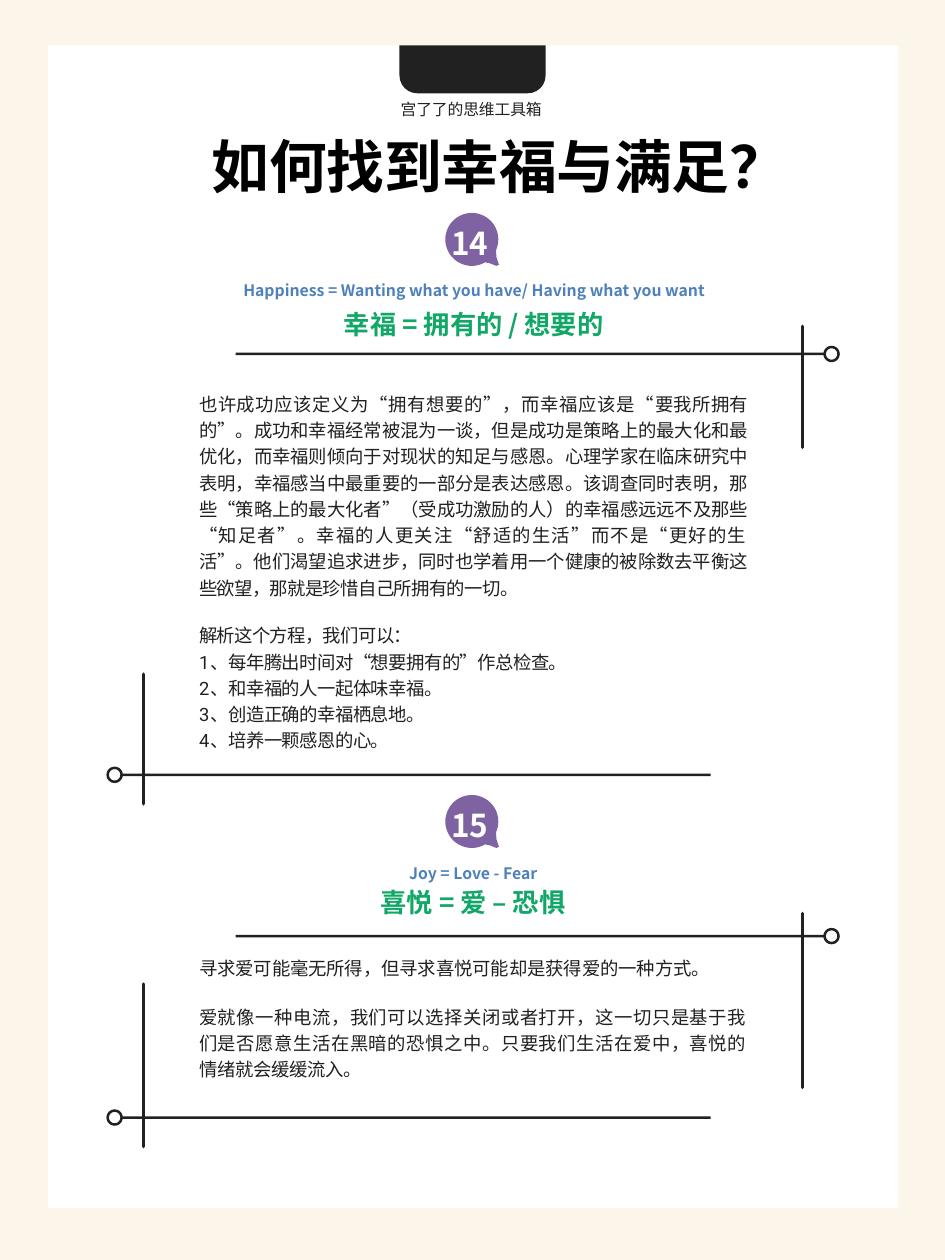
from math import cos, radians, sin

from lxml.etree import SubElement
from pptx import Presentation
from pptx.dml.color import RGBColor
from pptx.enum.shapes import MSO_CONNECTOR, MSO_SHAPE
from pptx.enum.text import MSO_ANCHOR, MSO_AUTO_SIZE, PP_ALIGN
from pptx.oxml.ns import qn
from pptx.util import Inches, Pt

# Content
SANS, TEXT = "Noto Sans CJK SC", "Roboto"
INK, BLUE, GREEN, PLUM = "212121", "4E81BB", "11A766", "7F62A1"
BRAND = "宫了了的思维工具箱"
TITLE = "如何找到幸福与满足？"

# Text styles: font values, then paragraph values
STYLES = {
    "brand": ((SANS, 9, INK, False), (PP_ALIGN.LEFT, 11)),
    "title": ((SANS, 33, "000000", True), (PP_ALIGN.LEFT, 40)),
    "badge": ((SANS, 18, "FFFFFF", True), (PP_ALIGN.LEFT, 23)),
    "sub": ((SANS, 9, BLUE, True), (PP_ALIGN.CENTER, 10.4)),
    "head": ((SANS, 15, GREEN, True), (PP_ALIGN.CENTER, 18)),
    "body": ((TEXT, 10.5, INK, False), (PP_ALIGN.JUSTIFY, 15)),
    "item": ((TEXT, 10.5, INK, False), (PP_ALIGN.LEFT, 15)),
}

STEPS = [
    "每年腾出时间对“想要拥有的”作总检查。",
    "和幸福的人一起体味幸福。",
    "创造正确的幸福栖息地。",
    "培养一颗感恩的心。",
]

# Paragraphs: style, space before, runs of (text, letter spacing)
HAPPY = [
    ("sub", 0, [("Happiness = Wanting what you have/ Having what you want", 0)]),
    ("head", 5, [("幸福 = 拥有的 / 想要的", 0)]),
    ("body", 28.3, [
        ("也许成功应该定义为“拥有想要的”，而幸福应该是“", 0),
        ("要我所拥有", -0.1),
        ("的”。成功和幸福经常被混为一谈，但是成功是策略上的最大化和最优化，"
         "而幸福则倾向于对现状的知足与感恩。心理学家在临床研究中表明，"
         "幸福感当中最重要的一部分是表达感恩。该调查同时表明，"
         "那些“策略上的最大化者”（受成功激励的人）的幸福感远远不及那些 ", -0.2),
        ("“知足者”。幸福的人更关注“舒适的生活”而不是“更好的生", 0.6),
        ("活”。他们渴望追求进步，同时也学着用一个健康的被除数去平衡这", -0.2),
        ("些欲望，那就是珍惜自己所拥有的一切。", -0.3),
    ]),
    ("item", 12.3, [("解析这个方程，我们可以：", -0.3)]),
] + [("item", 0, [(str(n), 0.8), ("、" + step, -0.25)])
     for n, step in enumerate(STEPS, 1)]

JOY = [
    ("sub", 0, [("Joy = Love - Fear", 0)]),
    ("head", 2, [("喜悦 = 爱 ‒ 恐惧", 0)]),
    ("item", 20, [("寻求爱可能毫无所得，但寻求喜悦可能却是获得爱的一种方式。", 0)]),
    ("body", 13, [
        ("爱就像一种电流，我们可以选择关闭或者打开，这一切只是基于我们是否愿意"
         "生活在黑暗的恐惧之中。只要我们生活在爱中，喜悦的", 0.15),
        ("情绪就会缓缓流入。", -0.1),
    ]),
]

# Badges: number, top of bubble
BADGES = [("14", 1.69), ("15", 6.31)]

# Corner marks: post x, post top, post bottom, rule y, (rule end, ring centre)
RIGHT, LEFT = (1.87, 6.6), (5.64, 0.91)
MARKS = [
    (6.37, 2.59, 3.55, 2.81, RIGHT),
    (6.37, 7.25, 8.63, 7.43, RIGHT),
    (1.14, 5.35, 6.38, 6.15, LEFT),
    (1.14, 7.81, 9.1, 8.87, LEFT),
]
OUTER, INNER, HALF = 0.07, 0.05, 0.01

deck = Presentation()
deck.slide_width, deck.slide_height = Inches(7.5), Inches(10)
slide = deck.slides.add_slide(deck.slide_layouts[3])
shapes = slide.shapes
holders = list(slide.placeholders)


def tint(code):
    return RGBColor.from_string(code)


def apply(item, values):
    for name, value in values.items():
        setattr(item, name, value)


def paint(shape, code):
    shape.shadow.inherit = False
    shape.fill.solid()
    shape.fill.fore_color.rgb = tint(code)
    shape.line.fill.background()
    return shape


def block(kind, box, code):
    return paint(shapes.add_shape(kind, *map(Inches, box)), code)


def arc(x, y, rad, first, last, step=6):
    return [(x + rad * cos(radians(a)), y + rad * sin(radians(a)))
            for a in range(first, last + 1, step)]


def outline(code, *loops):
    pen = None
    for loop in loops:
        points = [(Inches(x), Inches(y)) for x, y in loop]
        if pen is None:
            pen = shapes.build_freeform(*points[0])
        else:
            pen.move_to(*points[0])
        pen.add_line_segments(points[1:], close=True)
    paint(pen.convert_to_shape(), code)


def post_line(x, top, foot):
    post = shapes.add_connector(
        MSO_CONNECTOR.STRAIGHT, *map(Inches, (x, top, x, foot)))
    post.line.color.rgb = tint(INK)
    post.line.width = Pt(2)
    post.line._get_or_add_ln().set("cap", "rnd")
    SubElement(post._element.spPr, qn("a:effectLst"))


def write(shape, box, paras, inset=0.0, left=0.0, wrap=True):
    apply(shape, dict(zip(("left", "top", "width", "height"),
                          map(Inches, box))))
    frame = shape.text_frame
    apply(frame, {
        "margin_left": Inches(left), "margin_top": Inches(inset),
        "margin_right": 0, "margin_bottom": 0, "word_wrap": wrap,
        "auto_size": MSO_AUTO_SIZE.NONE, "vertical_anchor": MSO_ANCHOR.TOP})
    for i, (style, gap, runs) in enumerate(paras):
        (face, size, code, bold), (align, pitch) = STYLES[style]
        para = frame.add_paragraph() if i else frame.paragraphs[0]
        apply(para, {"alignment": align, "line_spacing": Pt(pitch),
                     "space_before": Pt(gap), "space_after": Pt(0)})
        props = para._p.get_or_add_pPr()
        props.set("marL", "0")
        props.set("indent", "0")
        SubElement(props, qn("a:buNone"))
        for words, track in runs:
            run = para.add_run()
            run.text = words
            apply(run.font, {"name": face, "size": Pt(size), "bold": bold})
            run.font.color.rgb = tint(code)
            mark = run._r.get_or_add_rPr()
            mark.set("lang", "zh-CN")
            SubElement(mark, qn("a:ea")).set("typeface", SANS)
            if track:
                mark.set("spc", str(round(track * 100)))


def label(box, style, words, track=0.0):
    write(shapes.add_textbox(0, 0, 0, 0), box,
          [(style, 0, [(words, track)])], 0.01, wrap=False)


def bubble(top):
    tail = [(3.94, top + 0.35), (3.96, top + 0.41),
            (3.94, top + 0.42), (3.89, top + 0.4)]
    outline(PLUM, arc(3.745, top + 0.21, 0.21, 60, 386) + tail)


def rule(end, hub, y):
    # The ring opens toward the bar, which leaves it at a small angle
    turn = 0 if end > hub else 180
    side = HALF if end > hub else -HALF
    ring = arc(hub, y, OUTER - 0.005, turn + 9, turn + 351, 9)
    outline(INK, ring + [(end, y - side), (end, y + side)],
            arc(hub, y, INNER - 0.005, 0, 351, 9))


# Page and top tab
block(MSO_SHAPE.RECTANGLE, (0, 0, 7.5, 10), "FBF5EA")
block(MSO_SHAPE.RECTANGLE, (0.38, 0.36, 6.75, 9.23), "FFFFFF")
tab = block(MSO_SHAPE.ROUND_2_SAME_RECTANGLE, (3.17, 0.36, 1.16, 0.38), INK)
tab.adjustments[0] = 0.37
tab.rotation = 180
label((3.18, 0.78, 1.14, 0.16), "brand", BRAND, -0.05)

# Numbered badges
for number, top in BADGES:
    bubble(top)
    label((3.58, top + 0.06, 0.32, 0.31), "badge", number)

# Corner marks
for x, top, foot, y, (end, hub) in MARKS:
    post_line(x, top, foot)
    rule(end, hub, y)

# Title and the two sections, in front of the page
title, happy, joy = holders
for holder in holders:
    shapes._spTree.append(holder._element)
write(title, (0.86, 0.96, 5.52, 0.63),
      [("title", 0, [(TITLE, -0.1)])], 0.07, 0.82)
write(happy, (1.58, 2.18, 4.36, 3.82), HAPPY, 0.05)
write(joy, (1.58, 6.83, 4.35, 1.76), JOY, 0.03)

deck.save("out.pptx")
